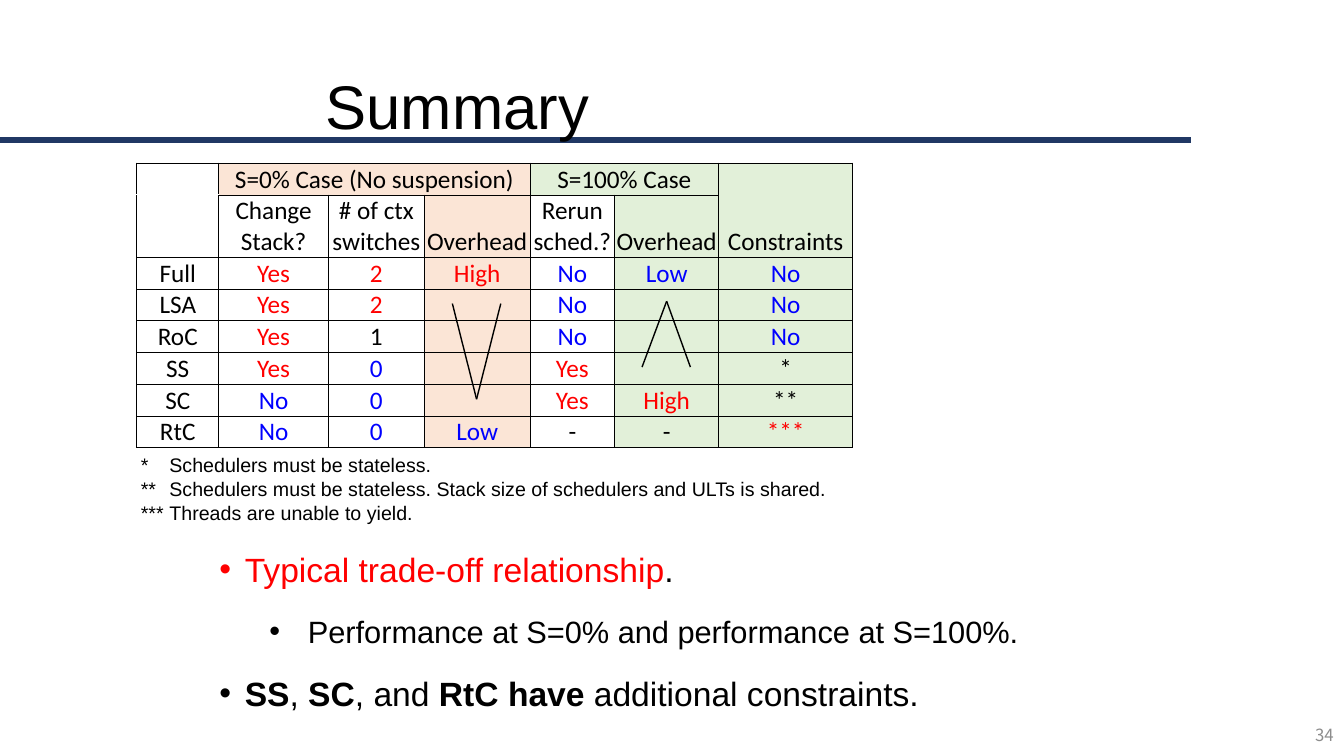
"""Build the summary slide: a trade-off table, its footnotes and the conclusions."""
import lxml.etree
import pptx
import pptx.dml.color
import pptx.enum.shapes
import pptx.enum.text
import pptx.oxml.ns
import pptx.util

Cm = pptx.util.Cm
Pt = pptx.util.Pt
RGBColor = pptx.dml.color.RGBColor
Align = pptx.enum.text.PP_ALIGN
Anchor = pptx.enum.text.MSO_ANCHOR
qn = pptx.oxml.ns.qn

BLACK = RGBColor(0x00, 0x00, 0x00)
RED = RGBColor(0xFF, 0x00, 0x00)
BLUE = RGBColor(0x00, 0x00, 0xFF)
NAVY = RGBColor(0x20, 0x38, 0x64)
GRAY = RGBColor(0x8C, 0x8C, 0x8C)
PEACH = RGBColor(0xFB, 0xE5, 0xD6)
GREEN = RGBColor(0xE2, 0xF0, 0xD9)


def add_line(x1, y1, x2, y2, color, width):
    line = page.shapes.add_connector(
        pptx.enum.shapes.MSO_CONNECTOR.STRAIGHT, Cm(x1), Cm(y1), Cm(x2), Cm(y2))
    line.line.color.rgb = color
    line.line.width = Pt(width)
    lxml.etree.SubElement(line._element.spPr, qn("a:effectLst"))


def add_box(left, top, width, height, anchor=Anchor.TOP):
    frame = page.shapes.add_textbox(Cm(left), Cm(top), Cm(width), Cm(height)).text_frame
    frame.word_wrap = True
    frame.vertical_anchor = anchor
    return frame


deck = pptx.Presentation()
deck.slide_width = Cm(33.87)
deck.slide_height = Cm(19.05)
page = deck.slides.add_slide(deck.slide_layouts[6])

add_line(0, 3.53, 30.02, 3.53, NAVY, 4)

labels = [
    (add_box(0, 1.4, 23.06, 2.51, Anchor.MIDDLE), "Summary", "Arial", 44, BLACK, Align.CENTER),
    (add_box(26.24, 18.01, 7.62, 1.02, Anchor.MIDDLE), "34", "Noto Sans CJK JP", 12, GRAY, Align.RIGHT),
]
for frame, text, font_name, size, color, alignment in labels:
    frame.text = text
    para = frame.paragraphs[0]
    para.alignment = alignment
    font = para.runs[0].font
    font.name, font.size, font.color.rgb = font_name, Pt(size), color

conclusions = [
    (0, 24, 0.64, 0.64, [("Typical trade-off relationship", RED, False), (".", BLACK, False)]),
    (1, 22, 2.23, 0.97, [("Performance at S=0% and performance at S=100%.", BLACK, False)]),
    (0, 24, 0.64, 0.64, [("SS", BLACK, True), (", ", BLACK, False), ("SC", BLACK, True),
                         (", and ", BLACK, False), ("RtC have ", BLACK, True),
                         ("additional constraints.", BLACK, False)]),
]
body = add_box(5.28, 13.61, 23.34, 4.78)
for index, (level, size, margin, hanging, parts) in enumerate(conclusions):
    para = body.add_paragraph() if index else body.paragraphs[0]
    para.level = level
    para.line_spacing = 1.1
    para.space_before = Pt(14 if index else 0)
    properties = para._p.get_or_add_pPr()
    properties.set("marL", str(Cm(margin)))
    properties.set("indent", str(-Cm(hanging)))
    lxml.etree.SubElement(properties, qn("a:buFont"), typeface="Arial")
    lxml.etree.SubElement(properties, qn("a:buChar"), char="•")
    for text, color, bold in parts:
        span = para.add_run()
        span.text = text
        span.font.name, span.font.size = "Arial", Pt(size)
        span.font.color.rgb, span.font.bold = color, bold

rows = [
    ["", "S=0% Case (No suspension)", "", "", "S=100% Case", "", "Constraints"],
    ["", "Change Stack?", "# of ctx switches", "Overhead", "Rerun sched.?", "Overhead", ""],
    ["Full", "Yes", "2", "High", "No", "Low", "No"],
    ["LSA", "Yes", "2", "", "No", "", "No"],
    ["RoC", "Yes", "1", "", "No", "", "No"],
    ["SS", "Yes", "0", "", "Yes", "", "*"],
    ["SC", "No", "0", "", "Yes", "High", "**"],
    ["RtC", "No", "0", "Low", "-", "-", "***"],
]
column_widths = [2.06, 2.77, 2.41, 2.67, 2.13, 2.62, 3.38]
row_heights = [0.8, 1.57] + [0.8] * 6
column_fills = {3: PEACH, 5: GREEN, 6: GREEN}
header_fills = {1: PEACH, 4: GREEN, 6: GREEN}
word_colors = dict.fromkeys(["Yes", "2", "High", "***"], RED)
word_colors.update(dict.fromkeys(["No", "0", "Low"], BLUE))
thick_columns = {0, 1, 4, 6, 7}
thick_rows = {0, 2, 8}

table = page.shapes.add_table(
    len(rows), len(column_widths), Cm(3.45), Cm(4.11),
    Cm(sum(column_widths)), Cm(sum(row_heights))).table
table.first_row = False
table.horz_banding = False
for column, width in zip(table.columns, column_widths):
    column.width = Cm(width)
for row, height in zip(table.rows, row_heights):
    row.height = Cm(height)
table.cell(0, 1).merge(table.cell(0, 3))
table.cell(0, 4).merge(table.cell(0, 5))
table.cell(0, 6).merge(table.cell(1, 6))

for r, row in enumerate(rows):
    for c, text in enumerate(row):
        cell = table.cell(r, c)
        if cell.is_spanned:
            continue
        cell.margin_left = cell.margin_right = cell.margin_top = Cm(0.02)
        cell.margin_bottom = 0
        cell.vertical_anchor = Anchor.BOTTOM
        right = c + (cell.span_width if cell.is_merge_origin else 1)
        bottom = r + (cell.span_height if cell.is_merge_origin else 1)
        edges = [("L", c in thick_columns), ("R", right in thick_columns),
                 ("T", r in thick_rows), ("B", bottom in thick_rows)]
        for side, thick in edges:
            if (r, c, side) in [(0, 0, "B"), (1, 0, "T")]:
                continue
            border = lxml.etree.SubElement(
                cell._tc.get_or_add_tcPr(), qn("a:ln" + side), w=str(Pt(1 if thick else 0.5)))
            paint = lxml.etree.SubElement(border, qn("a:solidFill"))
            lxml.etree.SubElement(paint, qn("a:srgbClr"), val=str(BLACK))
        fill = (column_fills if r else header_fills).get(c)
        if fill:
            cell.fill.solid()
            cell.fill.fore_color.rgb = fill
        else:
            cell.fill.background()
        if text:
            cell.text_frame.text = text
            para = cell.text_frame.paragraphs[0]
            para.alignment = Align.CENTER
            font = para.runs[0].font
            font.name, font.size = "Calibri", Pt(18)
            font.color.rgb = word_colors.get(text, BLACK)

trends = [(11.4, 12.62, 7.65, 12.01, 10.06), (16.18, 17.4, 9.25, 16.8, 7.59)]
for left, right, end_y, tip_x, tip_y in trends:
    for end_x in (left, right):
        add_line(end_x, end_y, tip_x, tip_y, BLACK, 1)

footnotes = [
    "*\tSchedulers must be stateless.",
    "**\tSchedulers must be stateless. Stack size of schedulers and ULTs is shared.",
    "***\tThreads are unable to yield.",
]
notes_frame = add_box(3.3, 11.3, 18.31, 2.06)
notes_frame.text = "\n".join(footnotes)
for para in notes_frame.paragraphs:
    tabs = lxml.etree.SubElement(para._p.get_or_add_pPr(), qn("a:tabLst"))
    lxml.etree.SubElement(tabs, qn("a:tab"), pos=str(Cm(0.72)), algn="l")
    for span in para.runs:
        span.font.name, span.font.size, span.font.color.rgb = "Arial", Pt(14), BLACK

deck.save("out.pptx")
